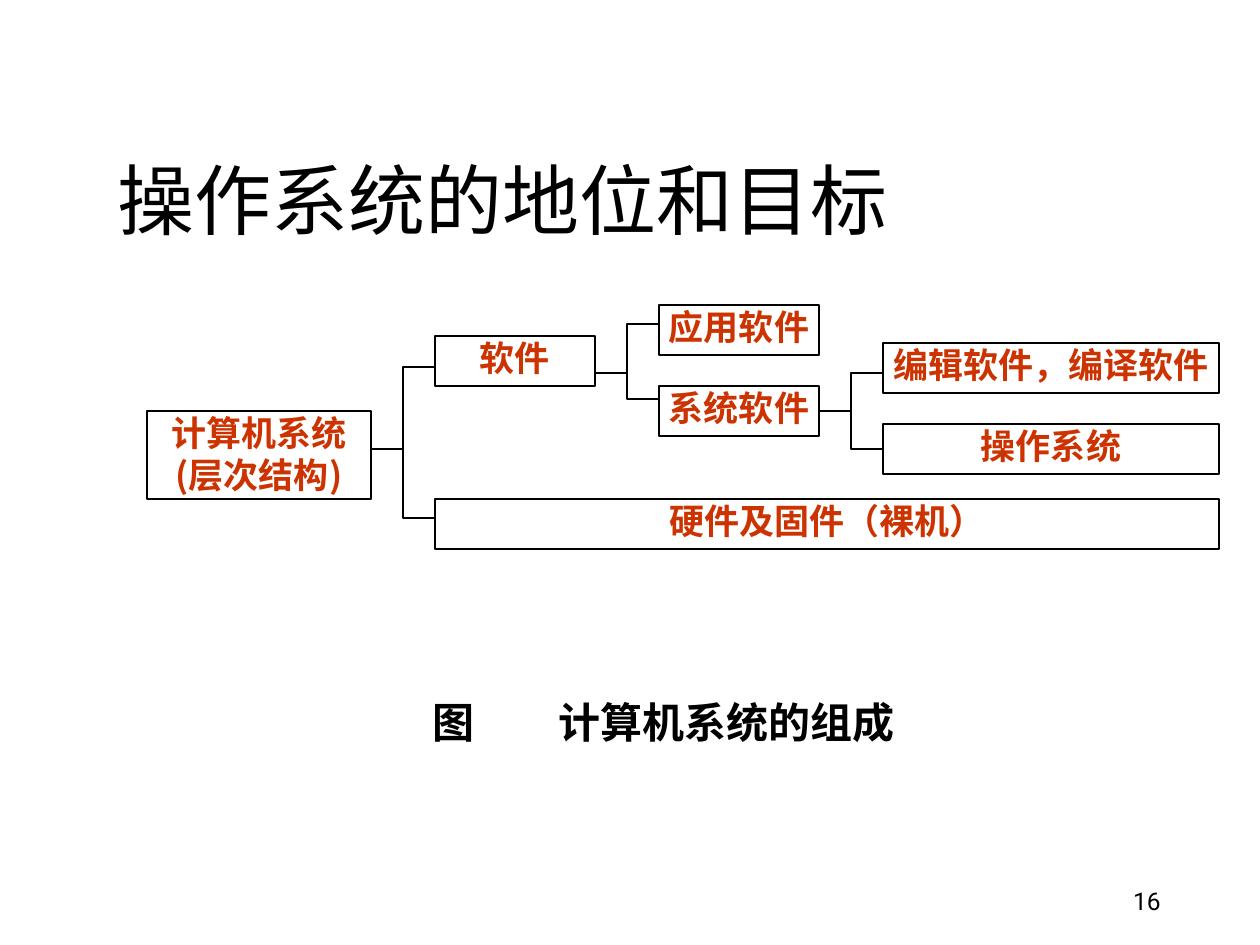
import pptx
import pptx.util
import pptx.dml.color
import pptx.enum.shapes
import pptx.enum.text
import pptx.oxml
import pptx.oxml.ns

SCALE = 914400 / 126  # EMU in one px
COLORS = {"ink": "000000", "label": "CC3300", "paper": "FFFFFF"}
CJK_FONT = "Noto Sans CJK SC"
ALIGN = pptx.enum.text.PP_ALIGN
ANCHOR = pptx.enum.text.MSO_ANCHOR


def px(length):
    return pptx.util.Emu(round(length * SCALE))


def write_text(shape, text, size, color="ink", font=CJK_FONT, bold=False, align=ALIGN.LEFT,
               anchor=ANCHOR.TOP, spacing=None, inset=None, wrap=True, tab=None):
    frame = shape.text_frame
    frame.word_wrap = wrap
    frame.vertical_anchor = anchor
    if inset is not None:
        frame.margin_left = frame.margin_right = px(inset)
        frame.margin_top = frame.margin_bottom = px(inset)
    frame.text = text
    for paragraph in frame.paragraphs:
        paragraph.alignment = align
        if spacing:
            paragraph.line_spacing = spacing
        if tab:
            tab_list = pptx.oxml.parse_xml(
                f'<a:tabLst {pptx.oxml.ns.nsdecls("a")}><a:tab pos="{px(tab)}" algn="l"/></a:tabLst>')
            paragraph._p.get_or_add_pPr().append(tab_list)
        for run in paragraph.runs:
            run.font.size = pptx.util.Pt(size)
            run.font.name = font
            run.font.bold = bold
            run.font.color.rgb = pptx.dml.color.RGBColor.from_string(COLORS[color])
            east_asian = pptx.oxml.parse_xml(
                f'<a:ea {pptx.oxml.ns.nsdecls("a")} typeface="{CJK_FONT}"/>')
            run.font._element.find(pptx.oxml.ns.qn("a:latin")).addnext(east_asian)


presentation = pptx.Presentation()
presentation.slide_width = px(1260)
presentation.slide_height = px(945)
slide = presentation.slides.add_slide(presentation.slide_layouts[6])
shapes = slide.shapes
ink = pptx.dml.color.RGBColor.from_string(COLORS["ink"])
slide.background.fill.solid()
slide.background.fill.fore_color.rgb = pptx.dml.color.RGBColor.from_string(COLORS["paper"])

# Title
title = shapes.add_textbox(px(105), px(126), px(1071), px(158))
write_text(title, "操作系统的地位和目标", 44, font="Calibri", anchor=ANCHOR.MIDDLE, spacing=0.9)

# Boxes of the tree: text, left, top, width, height
boxes = {}
for text, left, top, width, height in [
    ("计算机系统\n(层次结构)", 147, 411, 224, 88),
    ("软件", 435, 336, 160, 50),
    ("硬件及固件（裸机）", 435, 499, 784, 50),
    ("应用软件", 659, 305, 160, 50),
    ("系统软件", 659, 386, 160, 50),
    ("编辑软件，编译软件", 883, 343, 336, 50),
    ("操作系统", 883, 424, 336, 50),
]:
    box = shapes.add_shape(pptx.enum.shapes.MSO_SHAPE.RECTANGLE,
                           px(left), px(top), px(width), px(height))
    box.shadow.inherit = False
    box.fill.background()
    box.line.color.rgb = ink
    box.line.width = pptx.util.Pt(0.75)
    write_text(box, text, 20, color="label", bold=True, align=ALIGN.CENTER, inset=1)
    boxes[text] = box

# Branches: a stem from the parent and a bracket to its two children
STEM = 32
for parent_right, stem_y, upper_y, lower_y, parent in [
    (371, 449, 367, 518, None),
    (595, 373, 324, 399, None),
    (819, 411, 373, 449, "系统软件"),
]:
    spine = parent_right + STEM
    child_left = spine + STEM
    builder = shapes.build_freeform(child_left, upper_y, scale=SCALE)
    builder.add_line_segments([(spine, upper_y), (spine, lower_y), (child_left, lower_y)],
                              close=False)
    bracket = builder.convert_to_shape()
    bracket.shadow.inherit = False
    bracket.fill.background()
    stem = shapes.add_connector(pptx.enum.shapes.MSO_CONNECTOR.STRAIGHT,
                                px(parent_right), px(stem_y), px(spine), px(stem_y))
    stem._element.spPr.append(
        pptx.oxml.parse_xml(f'<a:effectLst {pptx.oxml.ns.nsdecls("a")}/>'))
    if parent:
        stem.begin_connect(boxes[parent], 3)
    for shape in (bracket, stem):
        shape.line.color.rgb = ink
        shape.line.width = pptx.util.Pt(0.75)

# Caption
caption = shapes.add_textbox(px(420), px(690), px(488), px(63))
write_text(caption, "图\t计算机系统的组成", 24, bold=True, wrap=False, tab=126)

# Page number
page_number = shapes.add_textbox(px(890), px(876), px(283), px(50))
write_text(page_number, "16", 14, font="Roboto", align=ALIGN.RIGHT, anchor=ANCHOR.MIDDLE)

presentation.save("out.pptx")
